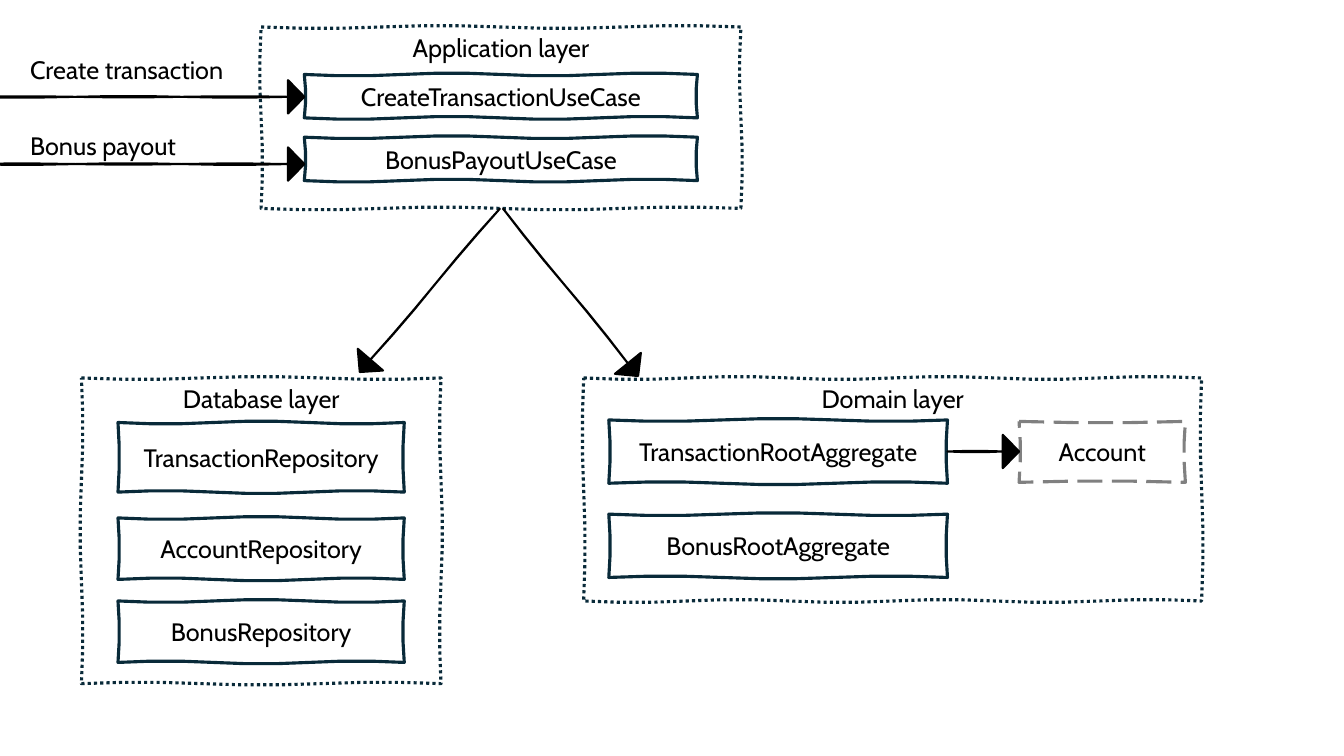
from math import atan2, degrees, hypot, pi, sin

from pptx import Presentation
from pptx.dml.color import RGBColor
from pptx.enum.dml import MSO_LINE
from pptx.enum.text import MSO_ANCHOR, MSO_AUTO_SIZE, PP_ALIGN
from pptx.util import Pt

DOT, DASH = MSO_LINE.ROUND_DOT, MSO_LINE.LONG_DASH
TOP, MID = MSO_ANCHOR.TOP, MSO_ANCHOR.MIDDLE
LEFT, CENTER = PP_ALIGN.LEFT, PP_ALIGN.CENTER
GROW = MSO_AUTO_SIZE.SHAPE_TO_FIT_TEXT

NAVY, GRAY, BLACK = "092A39", "808080", "000000"
FONT, SIZE = "Cabin", 18
UNIT = 100
WOBBLE, WAVE, STEPS = 1, 80, 3
HEAD_LONG, HEAD_HALF = 11.6, 11.9

LAYERS = [
    ("Application layer", (186.5, 19.3, 342.7, 129.6)),
    ("Database layer", (58.2, 270, 256.8, 218.3)),
    ("Domain layer", (416.9, 270, 441.4, 159.3)),
]
STACKS = [
    (217.4, 280.8, [
        ("CreateTransactionUseCase", 53.2, 31),
        ("BonusPayoutUseCase", 98, 31),
    ]),
    (84.3, 204.5, [
        ("TransactionRepository", 301.8, 49.7),
        ("AccountRepository", 370, 43.9),
        ("BonusRepository", 429.3, 43.9),
    ]),
    (434.9, 241.9, [
        ("TransactionRootAggregate", 300, 45.2),
        ("BonusRootAggregate", 367.3, 45.2),
    ]),
]
ENTITY = ("Account", (727.9, 301, 118.8, 43.5))
CALLS = [
    ("Create transaction", (14.4, 35.3, 160.6, 28.8)),
    ("Bonus payout", (14.4, 89.3, 121.7, 28.8)),
]
ARROWS = [
    ((-22.3, 69.2), (217.4, 69.2)),
    ((-22.3, 117.2), (217.4, 117.2)),
    ((357.1, 149), (257, 265.7)),
    ((359.3, 149), (455.8, 268.6)),
    ((676.8, 322.5), (727.9, 322.5)),
]

deck = Presentation()
deck.slide_width, deck.slide_height = Pt(960), Pt(540)
slide = deck.slides.add_slide(deck.slide_layouts[6])
shapes = slide.shapes


def color(code):
    return RGBColor.from_string(code)


def write(shape, text, align=CENTER, anchor=MID, wrap=True, inset=3.6):
    frame = shape.text_frame
    frame.word_wrap = wrap
    frame.vertical_anchor = anchor
    frame.margin_top = Pt(inset)
    par = frame.paragraphs[0]
    par.alignment = align
    run = par.add_run()
    run.text = text
    run.font.name = FONT
    run.font.size = Pt(SIZE)
    run.font.color.rgb = color(BLACK)
    return frame


def wavy(start, end, amp=WOBBLE):
    (x1, y1), (x2, y2) = start, end
    dx, dy = x2 - x1, y2 - y1
    size = hypot(dx, dy)
    waves = max(1, round(size / WAVE))
    count = waves * STEPS
    points = []
    for step in range(count):
        part = step / count
        off = amp * sin(waves * pi * part)
        points.append((x1 + dx * part - dy / size * off,
                       y1 + dy * part + dx / size * off))
    return points


def sketch(points, line=NAVY, width=2.25, dash=None, fill=None):
    grid = [(round(x * UNIT), round(y * UNIT)) for x, y in points]
    maker = shapes.build_freeform(*grid[0], scale=Pt(1) / UNIT)
    maker.add_line_segments(grid[1:], close=True)
    shape = maker.convert_to_shape()
    shape.shadow.inherit = False
    shape.line.color.rgb = color(line)
    shape.line.width = Pt(width)
    if dash:
        shape.line.dash_style = dash
    if fill:
        shape.fill.solid()
        shape.fill.fore_color.rgb = color(fill)
    else:
        shape.fill.background()
    return shape


def box(area, **style):
    x, y, w, h = area
    ends = [(x, y), (x + w, y), (x + w, y + h), (x, y + h)]
    points = []
    for start, end in zip(ends, ends[1:] + ends[:1]):
        points += wavy(start, end)
    return sketch(points, **style)


def arrow(start, end):
    (x1, y1), (x2, y2) = start, end
    size = hypot(x2 - x1, y2 - y1)
    x, y = (x1 + x2 - size) / 2, (y1 + y2) / 2
    tail, neck = (x, y), (x + size - HEAD_LONG, y)
    head = [neck, (neck[0], y - HEAD_HALF), (x + size, y),
            (neck[0], y + HEAD_HALF)]
    points = wavy(tail, neck, 0.6) + head + wavy(neck, tail, 0.4)
    shape = sketch(points, line=BLACK, width=1.5, fill=BLACK)
    shape.rotation = degrees(atan2(y2 - y1, x2 - x1))


for name, area in LAYERS:
    write(box(area, dash=DOT), name, anchor=TOP, inset=4.6)

for x, w, items in STACKS:
    for name, y, h in items:
        write(box((x, y, w, h)), name)

name, area = ENTITY
write(box(area, line=GRAY, dash=DASH), name)

for ends in ARROWS:
    arrow(*ends)

for name, area in CALLS:
    label = shapes.add_textbox(*map(Pt, area))
    write(label, name, align=LEFT, anchor=TOP, wrap=False).auto_size = GROW

deck.save("out.pptx")
